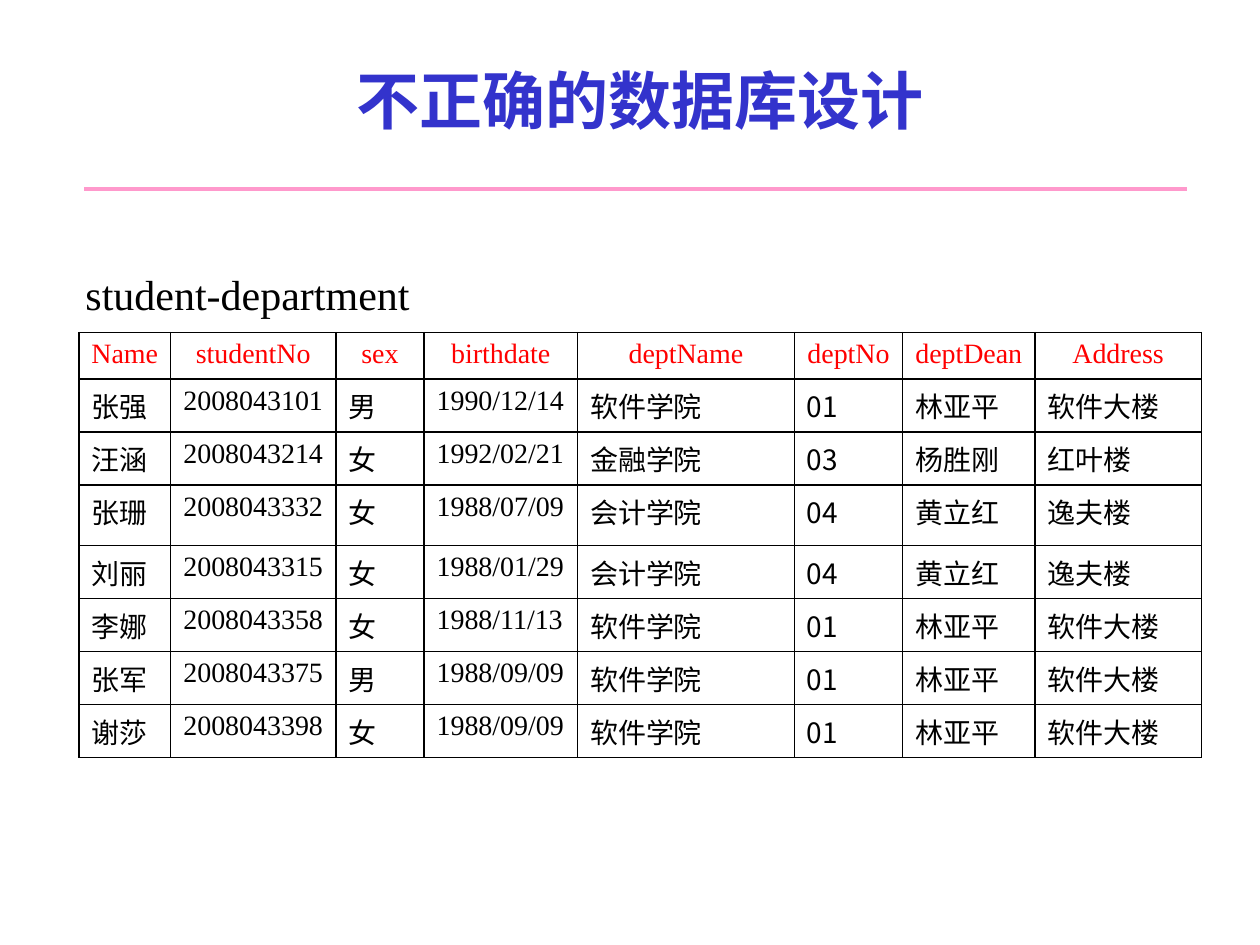
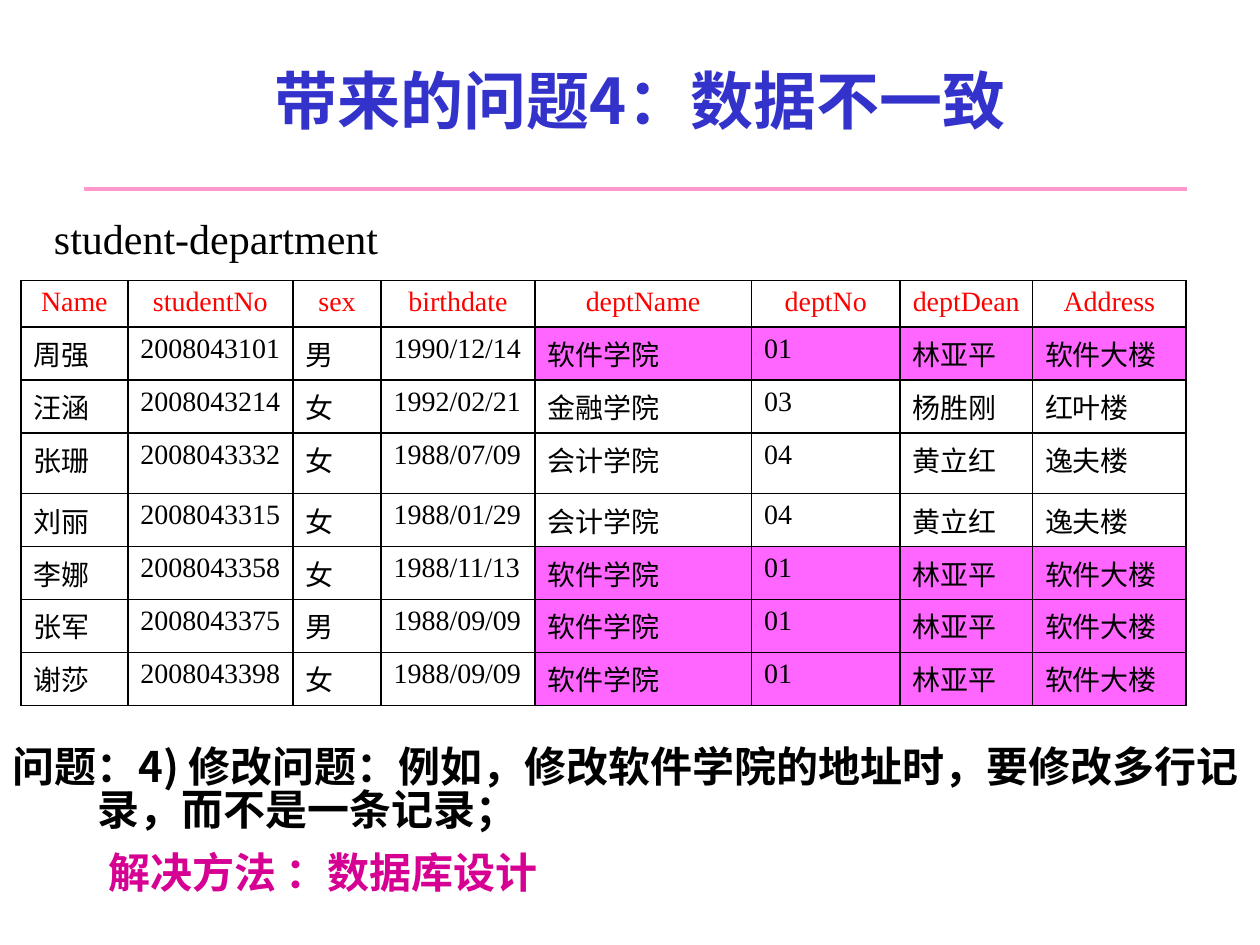
from collections import namedtuple

from lxml import etree
from pptx import Presentation
from pptx.dml.color import RGBColor
from pptx.enum.shapes import MSO_CONNECTOR
from pptx.enum.text import MSO_ANCHOR, MSO_AUTO_SIZE, PP_ALIGN
from pptx.oxml.ns import qn
from pptx.util import Inches, Pt

STRAIGHT = MSO_CONNECTOR.STRAIGHT
MIDDLE, TOP = MSO_ANCHOR.MIDDLE, MSO_ANCHOR.TOP
NO_AUTOFIT = MSO_AUTO_SIZE.NONE
LEFT, CENTER = PP_ALIGN.LEFT, PP_ALIGN.CENTER

BLACK = RGBColor(0x00, 0x00, 0x00)
TITLE_BLUE = RGBColor(0x33, 0x33, 0xCC)
RULE_PINK = RGBColor(0xFF, 0x99, 0xCC)
HEADER_RED = RGBColor(0xFF, 0x00, 0x00)
HIGHLIGHT_PINK = RGBColor(0xFF, 0x66, 0xFF)
SOLUTION_MAGENTA = RGBColor(0xD6, 0x00, 0x93)

SANS = "Noto Sans CJK SC"
SERIF = "Times New Roman"

SLIDE_WIDTH, SLIDE_HEIGHT = Inches(10), Inches(7.5)
GRID_COLUMNS, GRID_ROWS = 100, 75

Box = namedtuple("Box", "left top width height")
TITLE_BOX = Box(8.3, 1.65, 85, 12.5)
RULE_BOX = Box(6.7, 15, 87.5, 0)

HEADERS = ["Name", "studentNo", "sex", "birthdate",
           "deptName", "deptNo", "deptDean", "Address"]
DEPARTMENT_START = HEADERS.index("deptName")
SOFTWARE = ("软件学院", "01", "林亚平", "软件大楼")
FINANCE = ("金融学院", "03", "杨胜刚", "红叶楼")
ACCOUNTING = ("会计学院", "04", "黄立红", "逸夫楼")
OTHER_STUDENTS = [
    ("汪涵", "2008043214", "女", "1992/02/21", *FINANCE),
    ("张珊", "2008043332", "女", "1988/07/09", *ACCOUNTING),
    ("刘丽", "2008043315", "女", "1988/01/29", *ACCOUNTING),
    ("李娜", "2008043358", "女", "1988/11/13", *SOFTWARE),
    ("张军", "2008043375", "男", "1988/09/09", *SOFTWARE),
    ("谢莎", "2008043398", "女", "1988/09/09", *SOFTWARE),
]
ROW_HEIGHTS = [3.7, 4.2, 4.2, 4.8, 4.2, 4.2, 4.2, 4.2]


def columns(count):
    """Return the width of a number of grid columns."""
    return round(SLIDE_WIDTH * count / GRID_COLUMNS)


def rows(count):
    """Return the height of a number of grid rows."""
    return round(SLIDE_HEIGHT * count / GRID_ROWS)


def lengths(box):
    """Turn a box in grid units into slide lengths."""
    return columns(box.left), rows(box.top), columns(box.width), rows(box.height)


def place(shape, box):
    """Move a shape to a box of the grid."""
    shape.left, shape.top, shape.width, shape.height = lengths(box)


def write(paragraph, text, font=SERIF, size=16, color=BLACK, bold=False, align=LEFT):
    """Write formatted text into a paragraph."""
    paragraph.alignment = align
    run = paragraph.add_run()
    run.text = text
    run.font.name = font
    run.font.size = Pt(size)
    run.font.bold = bold
    run.font.color.rgb = color
    properties = run.font._element
    etree.SubElement(properties, qn("a:ea"), typeface=SANS)


def outline_cell(cell):
    """Draw thin black borders on the four sides of a cell."""
    properties = cell._tc.get_or_add_tcPr()
    for position, side in enumerate(("a:lnL", "a:lnR", "a:lnT", "a:lnB")):
        border = etree.Element(qn(side), w=str(Pt(1)))
        fill = etree.SubElement(border, qn("a:solidFill"))
        etree.SubElement(fill, qn("a:srgbClr"), val=str(BLACK))
        properties.insert(position, border)


def add_master_rule(presentation, slide):
    """Put the pink line under the title on the slide master."""
    left, top, width, height = lengths(RULE_BOX)
    rule = slide.shapes.add_connector(STRAIGHT, left, top, left + width, top + height)
    rule.line.color.rgb = RULE_PINK
    rule.line.width = Pt(2)
    etree.SubElement(rule.element.spPr, qn("a:effectLst"))
    presentation.slide_master.element.cSld.spTree.append(rule.element)


def add_title(slide, text):
    """Fill the title placeholder."""
    title = slide.shapes.title
    place(title, TITLE_BOX)
    frame = title.text_frame
    frame.vertical_anchor = MIDDLE
    frame.auto_size = NO_AUTOFIT
    write(frame.paragraphs[0], text, font=SANS, size=36, color=TITLE_BLUE,
          bold=True, align=CENTER)


def add_table_name(slide, box):
    """Name the table above its header."""
    frame = slide.shapes.add_textbox(*lengths(box)).text_frame
    frame.word_wrap = True
    frame.vertical_anchor = MIDDLE
    write(frame.paragraphs[0], "student-department", size=24)


def add_student_table(slide, left, top, column_widths, first_name,
                      department_font=SERIF, highlighted=None):
    """Draw the student table, with one department's cells highlighted if given."""
    first_student = (first_name, "2008043101", "男", "1990/12/14", *SOFTWARE)
    records = [HEADERS, first_student, *OTHER_STUDENTS]
    box = Box(left, top, sum(column_widths), sum(ROW_HEIGHTS))
    table = slide.shapes.add_table(len(records), len(HEADERS), *lengths(box)).table
    table.first_row = table.horz_banding = False
    for column, width in zip(table.columns, column_widths):
        column.width = columns(width)
    for row, height in zip(table.rows, ROW_HEIGHTS):
        row.height = rows(height)
    for row_index, record in enumerate(records):
        for column_index, text in enumerate(record):
            cell = table.cell(row_index, column_index)
            in_department = column_index >= DEPARTMENT_START
            if in_department and record[DEPARTMENT_START:] == highlighted:
                cell.fill.solid()
                cell.fill.fore_color.rgb = HIGHLIGHT_PINK
            else:
                cell.fill.background()
            outline_cell(cell)
            paragraph = cell.text_frame.paragraphs[0]
            if row_index == 0:
                write(paragraph, text, color=HEADER_RED, align=CENTER)
            else:
                write(paragraph, text, font=department_font if in_department else SERIF)


def add_problem(slide, box):
    """Fill the body placeholder with the problem and its solution."""
    body = slide.placeholders[1]
    place(body, box)
    frame = body.text_frame
    frame.auto_size = NO_AUTOFIT
    frame.vertical_anchor = TOP
    problem, solution = frame.paragraphs[0], frame.add_paragraph()
    items = [
        (problem, "问题：4) 修改问题：例如，修改软件学院的地址时，要修改多行记录，而不是一条记录；",
         BLACK, 6.7, -6.7, 0),
        (solution, "解决方法 ：数据库设计", SOLUTION_MAGENTA, 7.6, 0, 11.4),
    ]
    for paragraph, text, color, margin, indent, space_before in items:
        properties = paragraph._p.get_or_add_pPr()
        properties.set("marL", str(columns(margin)))
        properties.set("indent", str(columns(indent)))
        etree.SubElement(properties, qn("a:buNone"))
        paragraph.line_spacing = 0.85
        paragraph.space_before = Pt(space_before)
        write(paragraph, text, font=SANS, size=24, color=color, bold=True)


def build_design_slide(slide):
    """Show the wrong database design."""
    add_title(slide, "不正确的数据库设计")
    add_student_table(slide, 6.25, 26.4, [7.3, 13.1, 7, 12.2, 17.2, 8.6, 10.5, 13.2],
                      "张强", department_font=SANS)
    add_table_name(slide, Box(5.8, 20.8, 32.5, 5))


def build_problem_slide(slide):
    """Show the inconsistent data and how to solve the problem."""
    add_title(slide, "带来的问题4：数据不一致")
    add_problem(slide, Box(0, 58.9, 100, 14.3))
    add_student_table(slide, 1.65, 22.25, [8.5, 13.1, 7, 12.2, 17.2, 11.8, 10.5, 12.2],
                      "周强", highlighted=SOFTWARE)
    add_table_name(slide, Box(3.3, 16.4, 32.5, 5))


def main():
    """Build and save the presentation."""
    presentation = Presentation()
    presentation.slide_width, presentation.slide_height = SLIDE_WIDTH, SLIDE_HEIGHT
    content_layout, title_layout = (presentation.slide_layouts[index] for index in (1, 5))
    design_slide = presentation.slides.add_slide(title_layout)
    add_master_rule(presentation, design_slide)
    build_design_slide(design_slide)
    build_problem_slide(presentation.slides.add_slide(content_layout))
    presentation.save("out.pptx")


if __name__ == "__main__":
    main()
